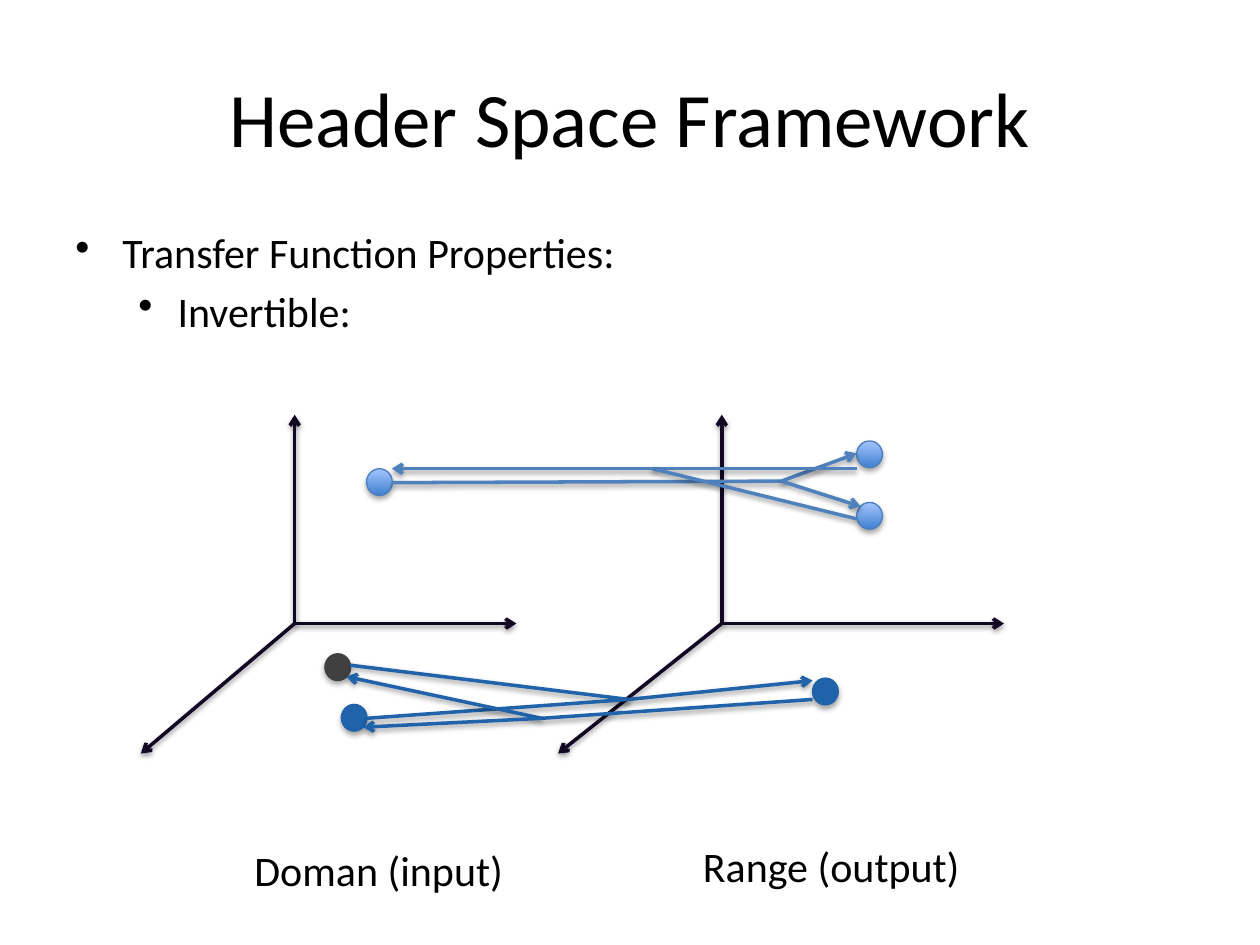
"""Build the Header Space Framework slide on invertible transfer functions."""
from dataclasses import dataclass

from pptx import Presentation
from pptx.dml.color import RGBColor
from pptx.enum.shapes import MSO_CONNECTOR, MSO_SHAPE
from pptx.enum.text import MSO_ANCHOR as Anchor, PP_ALIGN as Align
from pptx.oxml import parse_xml
from pptx.oxml.ns import nsdecls, qn
from pptx.oxml.xmlchemy import OxmlElement
from pptx.shapes.base import BaseShape
from pptx.slide import Slide
from pptx.text.text import _Paragraph as Paragraph
from pptx.util import Cm, Pt

Point = tuple[float, float]

FONT = "Calibri"
BLACK = RGBColor(0x00, 0x00, 0x00)
AXIS = RGBColor(0x11, 0x08, 0x23)
LIGHT_BLUE = RGBColor(0x4F, 0x81, 0xBD)
DARK_BLUE = RGBColor(0x20, 0x63, 0xAA)
GRAY = RGBColor(0x40, 0x40, 0x40)
DOT_EDGE = RGBColor(0x4B, 0x7E, 0xBC)
GRADIENT = (RGBColor(0x3F, 0x80, 0xCE), RGBColor(0xA4, 0xC4, 0xFF))
DOT_WIDTH, DOT_HEIGHT = 0.52, 0.54


@dataclass(frozen=True)
class TextBox:
    left: float
    top: float
    width: float
    height: float
    lines: tuple[str, ...]
    size: float = 24
    align: Align = Align.LEFT
    anchor: Anchor = Anchor.TOP


@dataclass(frozen=True)
class Dot:
    left: float
    top: float
    color: RGBColor | None = None


@dataclass(frozen=True)
class Link:
    start: Point
    end: Point
    color: RGBColor
    arrow: bool = False


@dataclass(frozen=True)
class Axes:
    origin: Point
    tips: tuple[Point, ...]


TITLE = TextBox(1.27, 0.76, 22.86, 3.18, ("Header Space Framework",), 44, Align.CENTER, Anchor.MIDDLE)
BODY = TextBox(1.27, 4.45, 22.86, 12.57, ("Transfer Function Properties:", "Invertible:"))
LABELS = (
    TextBox(4.88, 16.89, 6.02, 1.27, ("Doman (input)",)),
    TextBox(13.92, 16.81, 5.94, 1.27, ("Range (output)",)),
)
BULLET_INDENTS = ((0.95, -0.95), (2.06, -0.79))

AXES = (
    Axes((5.94, 12.57), ((5.94, 8.36), (10.41, 12.57), (2.84, 15.19))),
    Axes((14.55, 12.57), ((14.55, 8.36), (20.24, 12.57), (11.25, 15.19))),
)
DOTS = (
    Dot(7.39, 9.45),
    Dot(17.27, 10.13),
    Dot(17.27, 8.89),
    Dot(6.55, 13.18, GRAY),
    Dot(6.88, 14.2, DARK_BLUE),
    Dot(16.38, 13.67, DARK_BLUE),
)
SPLIT = (15.75, 9.7)
MERGE = (12.67, 14.1)
INVERSE_MERGE = (13.16, 9.45)
INVERSE_SPLIT = (10.92, 14.48)
LINKS = (
    Link((7.9, 9.73), SPLIT, LIGHT_BLUE),
    Link(SPLIT, (17.27, 9.14), LIGHT_BLUE, True),
    Link(SPLIT, (17.35, 10.21), LIGHT_BLUE, True),
    Link((7.06, 13.41), MERGE, DARK_BLUE),
    Link((7.39, 14.48), MERGE, DARK_BLUE),
    Link(MERGE, (16.38, 13.72), DARK_BLUE, True),
    Link((17.27, 9.45), INVERSE_MERGE, LIGHT_BLUE),
    Link((17.27, 10.46), INVERSE_MERGE, LIGHT_BLUE),
    Link(INVERSE_MERGE, (7.9, 9.45), LIGHT_BLUE, True),
    Link((16.38, 14.1), INVERSE_SPLIT, DARK_BLUE),
    Link(INVERSE_SPLIT, (6.98, 13.64), DARK_BLUE, True),
    Link(INVERSE_SPLIT, (7.32, 14.66), DARK_BLUE, True),
)


def add_shadow(shape: BaseShape, distance: float, opacity: int) -> None:
    """Give a shape a soft shadow straight below it."""
    shape.element.spPr.append(parse_xml(
        f'<a:effectLst {nsdecls("a")}>'
        f'<a:outerShdw blurRad="{Pt(3.1)}" dist="{Pt(distance)}" dir="5400000" rotWithShape="0">'
        f'<a:srgbClr val="{BLACK}"><a:alpha val="{opacity * 1000}"/></a:srgbClr>'
        '</a:outerShdw></a:effectLst>'
    ))


def add_bullet(paragraph: Paragraph, margin: float, indent: float) -> None:
    """Give a paragraph a round bullet and a hanging indent."""
    properties = paragraph._p.get_or_add_pPr()
    properties.set("marL", str(Cm(margin)))
    properties.set("indent", str(Cm(indent)))
    bullet = OxmlElement("a:buChar")
    bullet.set("char", "•")
    properties.append(bullet)


def draw_text(slide: Slide, box: TextBox, bulleted: bool = False) -> None:
    """Draw a text box with one paragraph per line."""
    shape = slide.shapes.add_textbox(Cm(box.left), Cm(box.top), Cm(box.width), Cm(box.height))
    text_frame = shape.text_frame
    text_frame.word_wrap = True
    text_frame.vertical_anchor = box.anchor
    text_frame.text = "\n".join(box.lines)
    for level, paragraph in enumerate(text_frame.paragraphs):
        if bulleted:
            add_bullet(paragraph, *BULLET_INDENTS[level])
            paragraph.level = level
        if level:
            paragraph.space_before = Pt(4.8)
        paragraph.alignment = box.align
        for run in paragraph.runs:
            run.font.name = FONT
            run.font.size = Pt(box.size)
            run.font.color.rgb = BLACK


def draw_dot(slide: Slide, dot: Dot) -> None:
    """Draw a header point, with a gradient unless it has its own colour."""
    shape = slide.shapes.add_shape(
        MSO_SHAPE.OVAL, Cm(dot.left), Cm(dot.top), Cm(DOT_WIDTH), Cm(DOT_HEIGHT))
    if dot.color is None:
        shape.fill.gradient()
        shape.fill.gradient_angle = 90
        for stop, color in zip(shape.fill.gradient_stops, GRADIENT):
            stop.color.rgb = color
    else:
        shape.fill.solid()
        shape.fill.fore_color.rgb = dot.color
    shape.line.color.rgb = dot.color or DOT_EDGE
    shape.line.width = Pt(0.75)
    add_shadow(shape, 1.8, 35)


def draw_link(slide: Slide, link: Link) -> None:
    """Draw a straight line, with an arrowhead at its end if asked."""
    connector = slide.shapes.add_connector(
        MSO_CONNECTOR.STRAIGHT, *(Cm(value) for value in link.start + link.end))
    connector.line.color.rgb = link.color
    connector.line.width = Pt(2)
    if link.arrow:
        head = OxmlElement("a:tailEnd")
        head.set("type", "arrow")
        connector.element.spPr.find(qn("a:ln")).append(head)
    add_shadow(connector, 1.6, 38)


def main() -> None:
    """Build and save the slide."""
    presentation = Presentation()
    presentation.slide_width, presentation.slide_height = Cm(25.4), Cm(19.05)
    slide = presentation.slides.add_slide(presentation.slide_layouts[6])
    draw_text(slide, TITLE)
    draw_text(slide, BODY, bulleted=True)
    for axes in AXES:
        for tip in axes.tips:
            draw_link(slide, Link(axes.origin, tip, AXIS, True))
    for dot in DOTS:
        draw_dot(slide, dot)
    for link in LINKS:
        draw_link(slide, link)
    for label in LABELS:
        draw_text(slide, label)
    presentation.save("out.pptx")


if __name__ == "__main__":
    main()
